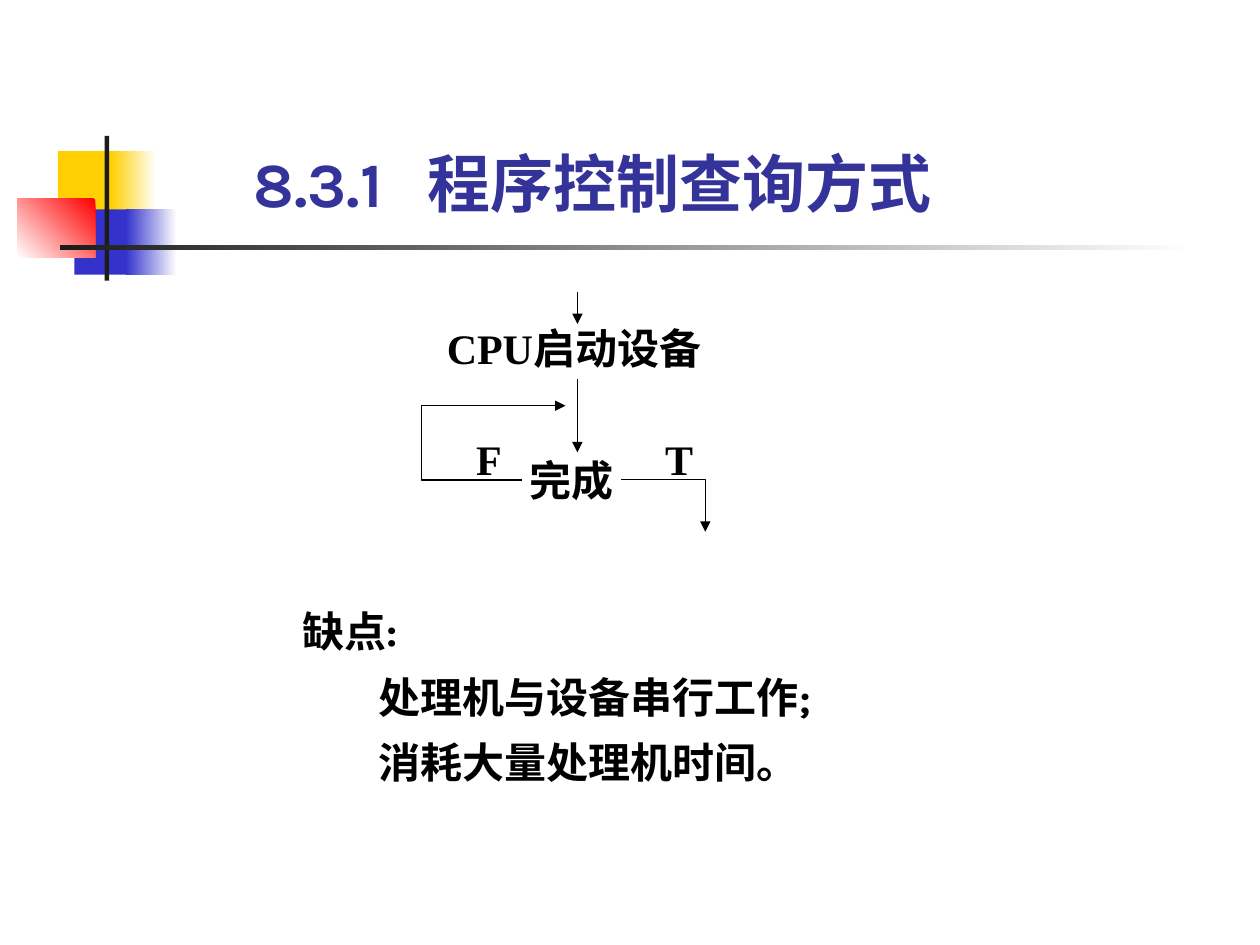
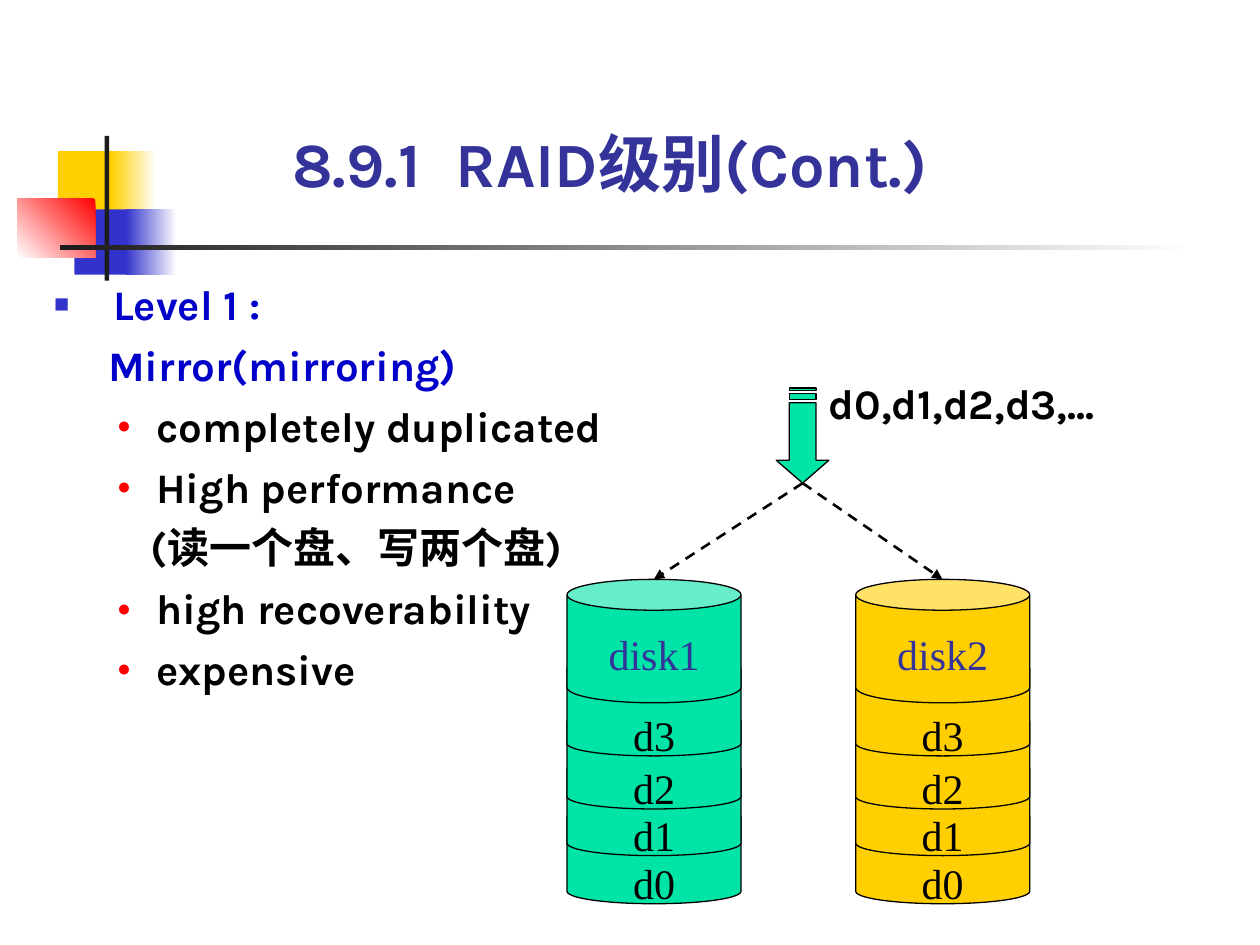
from dataclasses import dataclass
from lxml.etree import SubElement
from pptx import Presentation
from pptx.dml.color import RGBColor
from pptx.enum.dml import MSO_LINE
from pptx.enum.shapes import MSO_CONNECTOR, MSO_SHAPE
from pptx.enum.text import MSO_ANCHOR, MSO_AUTO_SIZE, PP_ALIGN
from pptx.oxml.ns import qn
from pptx.util import Cm, Pt


@dataclass(frozen=True)
class Theme:
    gold: str = "FFCF01"
    blue: str = "3333CC"
    red: str = "FF0000"
    dark: str = "1C1C1C"
    white: str = "FFFFFF"
    black: str = "000000"
    navy: str = "333399"
    accent: str = "0000C8"
    green: str = "00E4A8"
    sans: str = "Karla"
    serif: str = "Times New Roman"
    head: int = 36
    text: int = 24


THEME = Theme()


def rgb(code):
    return RGBColor.from_string(code)


def place(shape, at):
    shape.left, shape.top, shape.width, shape.height = map(Cm, at)


# Text

def style(para, font, color, size=THEME.text, bold=True):
    for run in para.runs:
        run.font.name, run.font.size, run.font.bold = font, Pt(size), bold
        run.font.color.rgb = rgb(color)


def frame(shape, anchor=MSO_ANCHOR.TOP, fit=MSO_AUTO_SIZE.SHAPE_TO_FIT_TEXT):
    body = shape.text_frame
    body.margin_left = body.margin_right = body.margin_top = body.margin_bottom = 0
    body.word_wrap = True
    body.auto_size = fit
    body.vertical_anchor = anchor
    return body


def indent(para, left, hang=0):
    props = para._p.get_or_add_pPr()
    props.set("marL", str(Cm(left)))
    props.set("indent", str(-Cm(hang)))
    return props


def bullet(props, char, color, size):
    if not char:
        SubElement(props, qn("a:buNone"))
        return
    tint = SubElement(props, qn("a:buClr"))
    SubElement(tint, qn("a:srgbClr"), val=color)
    SubElement(props, qn("a:buSzPct"), val=str(size * 1000))
    SubElement(props, qn("a:buFont"), typeface="Arial")
    SubElement(props, qn("a:buChar"), char=char)


def title(slide, text, at, tab):
    shape = slide.shapes.title
    place(shape, at)
    body = frame(shape, MSO_ANCHOR.BOTTOM)
    body.text = text
    para = body.paragraphs[0]
    stops = SubElement(para._p.get_or_add_pPr(), qn("a:tabLst"))
    SubElement(stops, qn("a:tab"), pos=str(Cm(tab)), algn="l")
    para.alignment = PP_ALIGN.LEFT
    style(para, THEME.sans, THEME.navy, THEME.head)


def label(slide, text, at, font=THEME.serif, align=PP_ALIGN.LEFT):
    body = frame(slide.shapes.add_textbox(*map(Cm, at)))
    body.text = text
    for para in body.paragraphs:
        para.alignment = align
        style(para, font, THEME.black)
    return body


# Shapes and lines

def paint(shape, fill, edge=None):
    shape.shadow.inherit = False
    shape.fill.solid()
    shape.fill.fore_color.rgb = rgb(fill)
    if edge:
        shape.line.color.rgb = rgb(edge)
        shape.line.width = Pt(0.75)
    else:
        shape.line.fill.background()


def fade(shape, start, end, angle):
    shape.fill.gradient()
    shape.fill.gradient_angle = angle
    for stop, color in zip(shape.fill.gradient_stops, (start, end)):
        stop.color.rgb = rgb(color)


def tip(shape):
    SubElement(shape.element.spPr.find(qn("a:ln")), qn("a:tailEnd"), type="triangle")


def arrow(slide, start, end, width=0.75, dash=None):
    line = slide.shapes.add_connector(MSO_CONNECTOR.STRAIGHT, *map(Cm, start + end))
    line.line.color.rgb = rgb(THEME.black)
    line.line.width = Pt(width)
    if dash:
        line.line.dash_style = dash
    tip(line)
    SubElement(line.element.spPr, qn("a:effectLst"))


def outline(slide, paths, closed):
    paths = [[(Cm(x), Cm(y)) for x, y in path] for path in paths]
    pen = slide.shapes.build_freeform(*paths[0][0])
    for index, path in enumerate(paths):
        if index:
            pen.move_to(*path[0])
        pen.add_line_segments(path[1:], close=closed)
    return pen.convert_to_shape()


def elbow(slide, points):
    shape = outline(slide, [points], False)
    paint(shape, THEME.white, THEME.black)
    shape.fill.background()
    tip(shape)


# Shared ornament, drawn once and moved to the master

def adorn(deck, slide):
    t = THEME
    parts = [
        ((1.17, 3.05, 1.22, 1.32), t.gold, None),
        ((2.24, 3.05, 0.91, 1.32), t.white, (t.gold, 180)),
        ((1.5, 4.22, 1.17, 1.32), t.blue, None),
        ((2.54, 4.22, 1.02, 1.32), t.white, (t.blue, 180)),
        ((0.35, 4.01, 1.57, 1.18), t.red, (t.white, 225)),
        ((2.11, 2.74, 0.09, 2.92), t.dark, None),
        ((1.22, 4.94, 22.86, 0.1), t.white, (t.dark, 180)),
    ]
    for number, (at, color, blend) in enumerate(parts, 20):
        shape = slide.shapes.add_shape(MSO_SHAPE.RECTANGLE, *map(Cm, at))
        paint(shape, color)
        if blend:
            fade(shape, color, *blend)
        shape.element.nvSpPr.cNvPr.set("id", str(number))
        deck.slide_master.shapes.element.append(shape.element)


# Slide 1: polling loop

def polling(slide):
    title(slide, "8.3.1\t程序控制查询方式", (5.11, 2.92, 14.4, 1.52), 3.5)
    label(slide, "CPU启动设备", (8.71, 6.5, 5.72, 1.02), align=PP_ALIGN.CENTER)
    label(slide, "完成", (10.67, 9.17, 2.03, 1.02))
    label(slide, "F", (9.6, 8.74, 0.7, 1.02))
    label(slide, "T", (13.41, 8.74, 0.8, 1.02))

    axis = 11.64
    arrow(slide, (axis, 5.89), (axis, 6.53))
    arrow(slide, (axis, 7.65), (axis, 9.12))
    elbow(slide, [(10.52, 9.68), (8.5, 9.68), (8.5, 8.18), (11.4, 8.18)])
    elbow(slide, [(12.52, 9.67), (14.22, 9.67), (14.22, 10.72)])

    flaws = label(slide, "缺点:\n处理机与设备串行工作;\n消耗大量处理机时间。",
                  (6.1, 11.91, 11.51, 3.96), THEME.sans)
    for index, para in enumerate(flaws.paragraphs):
        para.line_spacing = 1.3
        indent(para, 1.53 if index else 0)


# Slide 2: mirrored disks

def outlined(slide, at):
    shape = slide.placeholders[1]
    place(shape, at)
    body = frame(shape, fit=MSO_AUTO_SIZE.NONE)
    square, dot = ("■", THEME.blue, 60), ("●", THEME.red, 55)
    plain = (None, None, 0)
    rows = [
        ("Level 1 :", 0, 1.19, 1.19, square),
        ("Mirror(mirroring)", 0, 1.09, 0, plain),
        ("completely duplicated", 1, 2.06, 0.79, dot),
        ("High performance", 1, 2.06, 0.79, dot),
        ("(读一个盘、写两个盘)", 1, 1.94, 0, plain),
        ("high recoverability", 1, 2.06, 0.79, dot),
        ("expensive", 1, 2.06, 0.79, dot),
    ]
    body.text = "\n".join(row[0] for row in rows)
    for index, (para, row) in enumerate(zip(body.paragraphs, rows)):
        _, level, left, hang, mark = row
        para.level = level
        bullet(indent(para, left, hang), *mark)
        para.space_before = Pt(6 if index else 0)
        style(para, THEME.sans, THEME.black if level else THEME.accent)


def disk(slide, left, name, fill):
    group = slide.shapes.add_group_shape()
    layers = [(f"d{n}", top, 2.01, 0.57, THEME.black)
              for n, top in enumerate((16.21, 15.24, 14.3, 13.23))]
    layers.append((name, 11.68, 2.49, 0.37, THEME.navy))
    for text, top, height, drop, color in layers:
        can = group.shapes.add_shape(MSO_SHAPE.CAN, *map(Cm, (left, top, 3.51, height)))
        can.adjustments[0] = 0.25
        paint(can, fill, THEME.black)
        body = frame(can, fit=MSO_AUTO_SIZE.NONE)
        body.margin_top = Cm(drop)
        body.text = text
        para = body.paragraphs[0]
        para.alignment = PP_ALIGN.CENTER
        style(para, THEME.serif, color, bold=False)


def feed(slide, axis, tail, point):
    stem, wing, neck = 0.27, 0.53, point - 0.46
    bars = [[(axis + stem, top), (axis + stem, end), (axis - stem, end), (axis - stem, top)]
            for top, end in ((tail, tail + 0.06), (tail + 0.12, tail + 0.24))]
    head = [(axis + stem, tail + 0.3), (axis + stem, neck), (axis + wing, neck),
            (axis, point), (axis - wing, neck), (axis - stem, neck),
            (axis - stem, tail + 0.3)]
    paint(outline(slide, [head] + bars, True), THEME.green, THEME.black)


def mirror(slide):
    title(slide, "8.9.1\tRAID级别(Cont.)", (5.89, 2.51, 14.66, 1.52), 3.3)
    outlined(slide, (1.09, 5.61, 12.01, 8.38))
    axis, point = 16.18, 9.74
    feed(slide, axis, 7.82, point)
    for left, name, fill in ((11.43, "disk1", THEME.green), (17.25, "disk2", THEME.gold)):
        disk(slide, left, name, fill)
        arrow(slide, (axis, point), (left + 1.75, 11.68), 1.5, MSO_LINE.DASH)
    label(slide, "d0,d1,d2,d3,...", (16.71, 7.62, 6.99, 1.02), THEME.sans)


def main():
    deck = Presentation()
    deck.slide_width, deck.slide_height = Cm(25.4), Cm(19.05)
    first = deck.slides.add_slide(deck.slide_layouts[5])
    adorn(deck, first)
    polling(first)
    mirror(deck.slides.add_slide(deck.slide_layouts[1]))
    deck.save("out.pptx")


if __name__ == "__main__":
    main()
